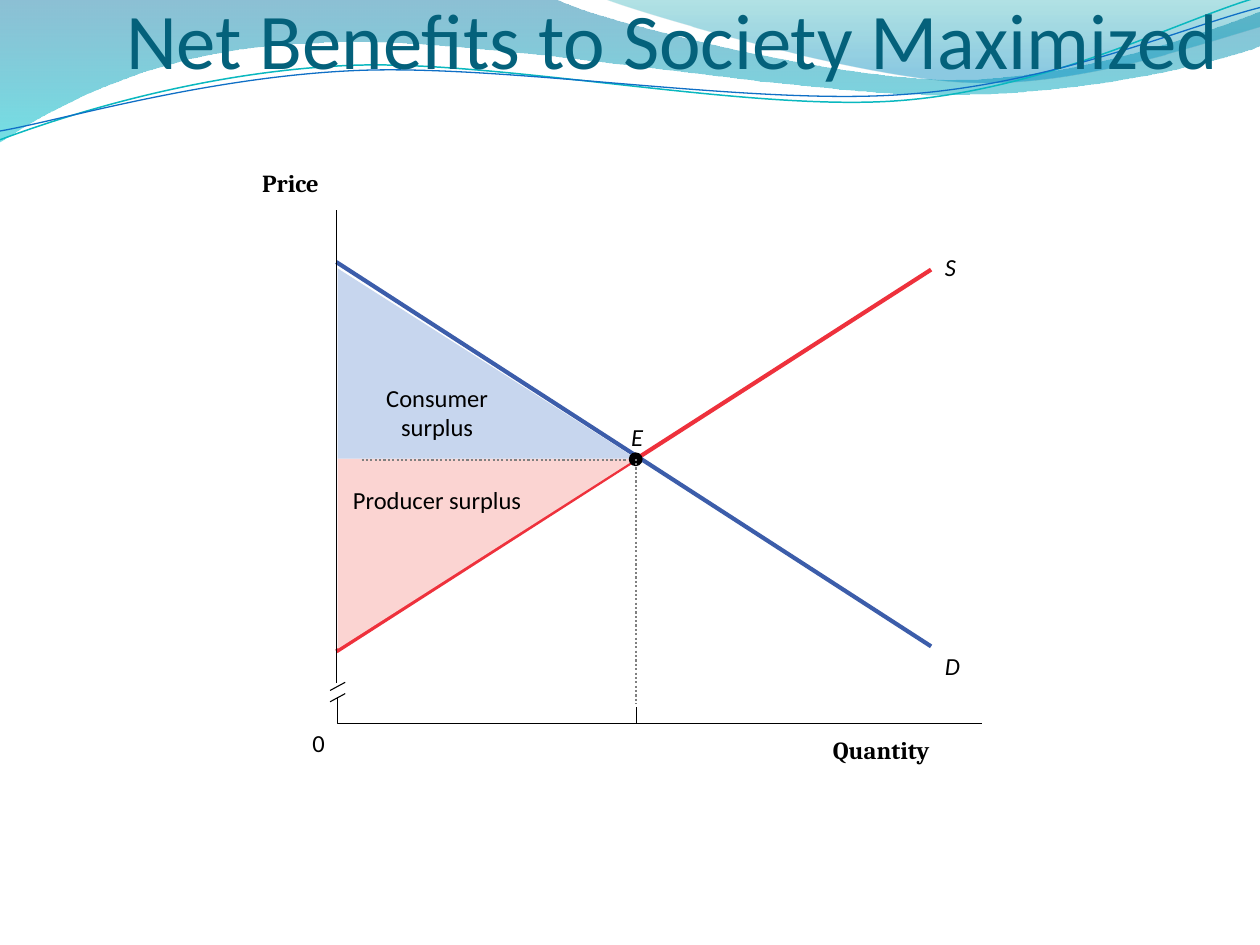
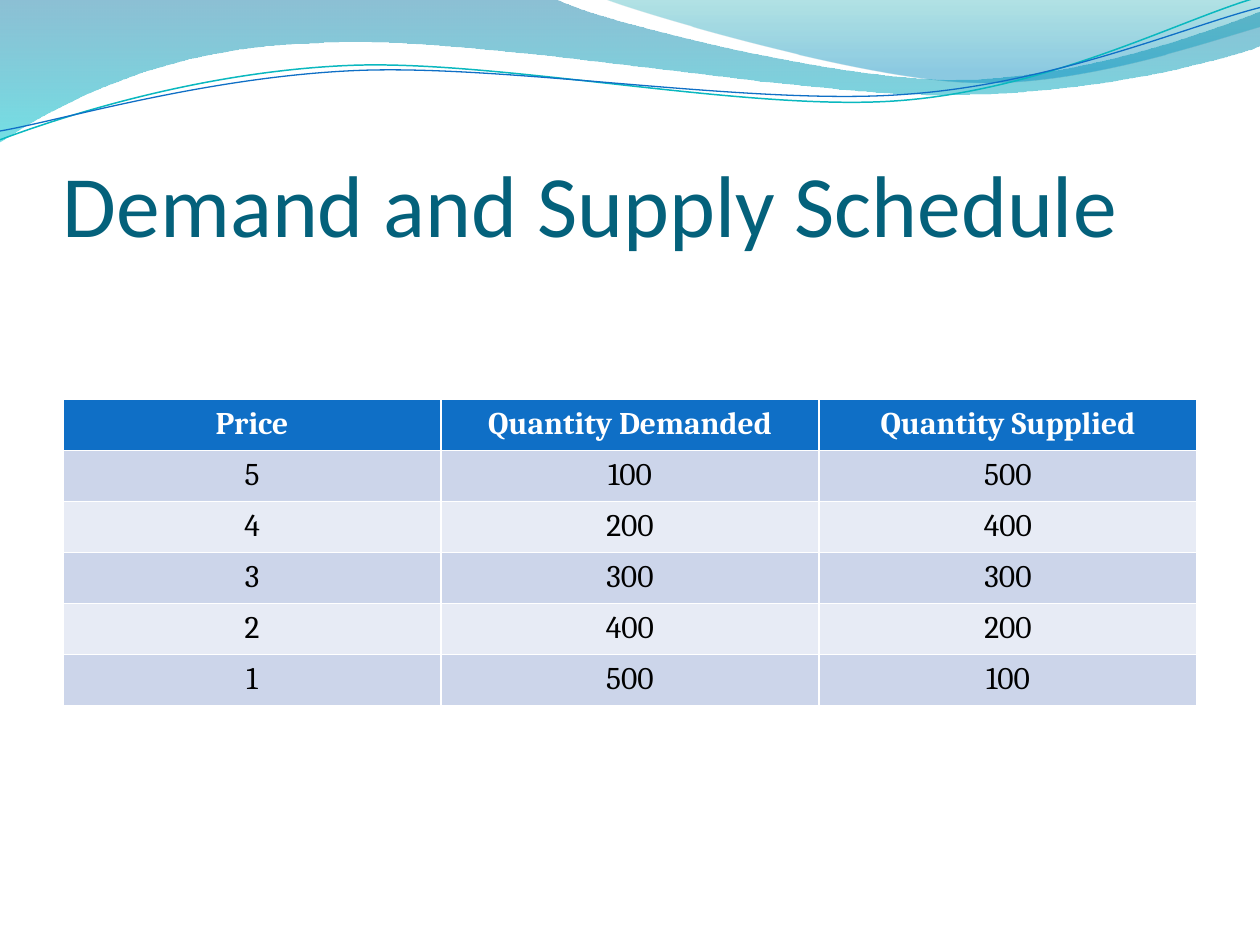
from dataclasses import dataclass
from lxml.etree import SubElement
from pptx import Presentation
from pptx.dml.color import RGBColor
from pptx.enum.dml import MSO_LINE
from pptx.enum.shapes import MSO_CONNECTOR, MSO_SHAPE
from pptx.enum.text import MSO_ANCHOR, PP_ALIGN
from pptx.oxml.ns import qn
from pptx.util import Inches, Pt


@dataclass(frozen=True)
class Theme:
    sans: str = "Calibri"
    serif: str = "Cambria"
    title: str = "04617B"
    ink: str = "000000"
    white: str = "FFFFFF"
    grey: str = "808080"
    supply: str = "EE313C"
    demand: str = "3C5DAA"
    rose: str = "FBD4D2"
    sky: str = "C7D6EE"
    head: str = "0F6FC6"
    teal: str = "0AB8BF"
    bands: tuple = ("CCD5EA", "E7EBF5")
    label: int = 14
    body: int = 18
    thin: float = 0.63
    dots: float = 1.25
    curve: float = 2.38


T = Theme()
deck = Presentation()
deck.slide_width, deck.slide_height = Inches(10), Inches(7.5)
CELL = deck.slide_width // 100


@dataclass(frozen=True)
class Box:
    x: float
    y: float
    w: float
    h: float

    def spot(self, x, y):
        return round((self.x + x) * CELL), round((self.y + y) * CELL)

    def inner(self, x, y, w, h):
        return Box(self.x + x, self.y + y, w, h)

    def rect(self):
        return (*self.spot(0, 0), round(self.w * CELL), round(self.h * CELL))


def rgb(tone):
    return RGBColor.from_string(tone)


def style(frame, words, size=T.label, font=T.sans, tone=T.ink,
          bold=False, slant=False, align=PP_ALIGN.LEFT):
    para = frame.paragraphs[0]
    para.alignment = align
    run = para.add_run()
    run.text = words
    run.font.size, run.font.name = Pt(size), font
    run.font.bold, run.font.italic = bold, slant
    run.font.color.rgb = rgb(tone)


def text(slide, box, words, wrap=True, top=0, anchor=MSO_ANCHOR.TOP, **look):
    frame = slide.shapes.add_textbox(*box.rect()).text_frame
    frame.word_wrap = wrap
    frame.vertical_anchor = anchor
    frame.margin_left = frame.margin_right = frame.margin_bottom = 0
    frame.margin_top = Inches(top)
    style(frame, words, **look)


def title(slide, box, words, size):
    text(slide, box, words, size=size, tone=T.title, top=0.05,
         anchor=MSO_ANCHOR.BOTTOM)


def line(slide, box, start, end, tone=T.ink, width=T.thin, dash=None):
    link = slide.shapes.add_connector(
        MSO_CONNECTOR.STRAIGHT, *box.spot(*start), *box.spot(*end))
    link.line.color.rgb = rgb(tone)
    link.line.width = Pt(width)
    if dash:
        link.line.dash_style = dash
    SubElement(link._element.spPr, qn("a:effectLst"))


def bend(shape, kinds):
    nodes = iter(list(shape._element.iter(qn("a:lnTo"))))
    for kind in kinds:
        node = next(nodes)
        if kind == "C":
            for _ in range(2):
                extra = next(nodes)
                node.append(extra[0])
                extra.getparent().remove(extra)
            node.tag = qn("a:cubicBezTo")


def outline(slide, box, points, kinds="", fill=None, edge=None, width=T.thin):
    spots = [box.spot(*p) for p in points]
    pen = slide.shapes.build_freeform(*spots[0])
    pen.add_line_segments(spots[1:], close=edge is None)
    shape = pen.convert_to_shape()
    bend(shape, kinds)
    shape.shadow.inherit = False
    if fill:
        shape.fill.solid()
        shape.fill.fore_color.rgb = rgb(fill)
    else:
        shape.fill.background()
    if edge:
        shape.line.color.rgb = rgb(edge)
        shape.line.width = Pt(width)
    else:
        shape.line.fill.background()
    return shape


def fade(shape, stops):
    shape.fill.gradient()
    shape.fill.gradient_angle = 270
    for stop, (place, tone, _) in zip(shape.fill.gradient_stops, stops):
        stop.position = place
        stop.color.rgb = rgb(tone)
    nodes = shape._element.spPr.find(qn("a:gradFill")).iter(qn("a:srgbClr"))
    for node, (_, _, alpha) in zip(list(nodes), stops):
        SubElement(node, qn("a:alpha"), val=str(alpha * 1000))


def waves(slide, box):
    left = outline(slide, box, [
        (0, 0), (44, -0.1), (47.6, 1.7), (66.4, 6.3), (75.8, 6.3),
        (85.3, 6.3), (95.8, 2.6), (100, 0.9), (100.1, 3.6),
        (98.3, 4.4), (87, 7.6), (74.6, 7.5), (62.2, 7.5), (38.2, 2.8),
        (25.7, 3.4), (12.9, 3.6), (4.6, 8.3), (-0.1, 11.3)], "LCCLCCC")
    fade(left, [(0, "0074A1", 45), (1, "00C6CF", 55)])
    right = outline(slide, box, [
        (47.9, -0.1), (50.9, 1.1), (68.2, 6.2), (76.9, 6.5),
        (85.6, 6.9), (96.1, 3.2), (100, 2.1), (100, 0)], "CCL")
    fade(right, [(0, "00A1A9", 30), (0.8, "008BBF", 45)])
    outline(slide, box, [
        (0, 11.1), (4.8, 9.3), (15.8, 5.7), (27.7, 5.2), (39.5, 4.7),
        (59.3, 8.9), (71.3, 8), (83.3, 7.1), (93.8, 1.5), (99.8, -0.2)],
        "CCC", edge=T.teal, width=0.85)
    outline(slide, box, [
        (0, 10.4), (4.7, 9.6), (16.4, 6.1), (28.3, 5.6), (40.3, 5.1),
        (59.7, 8.4), (71.7, 7.5), (83.6, 6.7), (94.1, 2.1), (100, 0.6)],
        "CCC", edge=T.head, width=0.75)


def curves(slide, box):
    for name, y in (("S", 3.3), ("D", 35)):
        text(slide, box.inner(48.3, y, 1.4, 2.4), name, wrap=False, slant=True)
    line(slide, box, (47.2, 4.7), (0, 35), T.supply, T.curve)
    line(slide, box, (0, 4.1), (47.2, 34.6), T.demand, T.curve)


def axes(slide, box, mid):
    for name, x, y, w in (("Price", -5.9, -3.4, 22.5), ("Quantity", 39.4, 41.6, 18.9)):
        text(slide, box.inner(x, y, w, 2.4), name, font=T.serif, bold=True)
    text(slide, box.inner(-1.9, 41.1, 1.1, 1.9), "0", wrap=False)
    line(slide, box, (mid, box.h), (mid, box.h - 1.3))
    line(slide, box, (0, 37.5), (0, 0))
    outline(slide, box, [(box.w, box.h), (0.1, box.h), (0.1, 38.6)], edge=T.ink)
    for y in (38.1, 39):
        line(slide, box, (-0.5, y), (0.7, y - 0.65))


def surplus(slide, box, mid, level):
    for name, tip, tone, y in (("Producer surplus", 34.8, T.rose, 21.8),
                               ("Consumer surplus", 4.6, T.sky, 13.7)):
        outline(slide, box, [(0.1, tip), (0.1, level), (mid, level)], fill=tone)
        text(slide, box.inner(1, y, 14, 3.7), name, align=PP_ALIGN.CENTER)


def balance(slide, box, mid, level):
    text(slide, box.inner(mid - 0.4, level - 2.9, 1.3, 2.4), "E", wrap=False, slant=True)
    dot = slide.shapes.add_shape(
        MSO_SHAPE.OVAL, *box.inner(mid - 0.6, level - 0.5, 1.1, 1.1).rect())
    dot.shadow.inherit = False
    dot.fill.solid()
    dot.fill.fore_color.rgb = rgb(T.ink)
    dot.line.fill.background()
    for start, end in (((mid, level), (mid, 39.2)),
                       ((2, level + 0.1), (mid - 0.7, level + 0.1))):
        line(slide, box, start, end, T.grey, T.dots, MSO_LINE.ROUND_DOT)


def market(slide, box):
    mid, level = 23.8, 19.7
    curves(slide, box)
    axes(slide, box, mid)
    surplus(slide, box, mid, level)
    balance(slide, box, mid, level)


def grid(slide, box, rows):
    table = slide.shapes.add_table(len(rows), len(rows[0]), *box.rect()).table
    for r, row in enumerate(rows):
        for c, value in enumerate(row):
            cell = table.cell(r, c)
            cell.fill.solid()
            cell.fill.fore_color.rgb = rgb(T.bands[(r - 1) % 2] if r else T.head)
            style(cell.text_frame, str(value), size=T.body, font=T.serif,
                  tone=T.ink if r else T.white, bold=r == 0,
                  align=PP_ALIGN.CENTER)


def page():
    slide = deck.slides.add_slide(deck.slide_layouts[6])
    waves(slide, Box(0, 0, 100, 12))
    return slide


first = page()
market(first, Box(26.7, 16.7, 51.2, 40.7))
title(first, Box(10, 0.7, 87.2, 6.1), "Net Benefits to Society Maximized", 45)

second = page()
title(second, Box(5, 7.7, 90, 12.5), "Demand and Supply Schedule", 50)
grid(second, Box(5, 31.7, 90, 24.3),
     [("Price", "Quantity Demanded", "Quantity Supplied")]
     + [(p, 600 - 100 * p, 100 * p) for p in range(5, 0, -1)])

deck.save("out.pptx")
